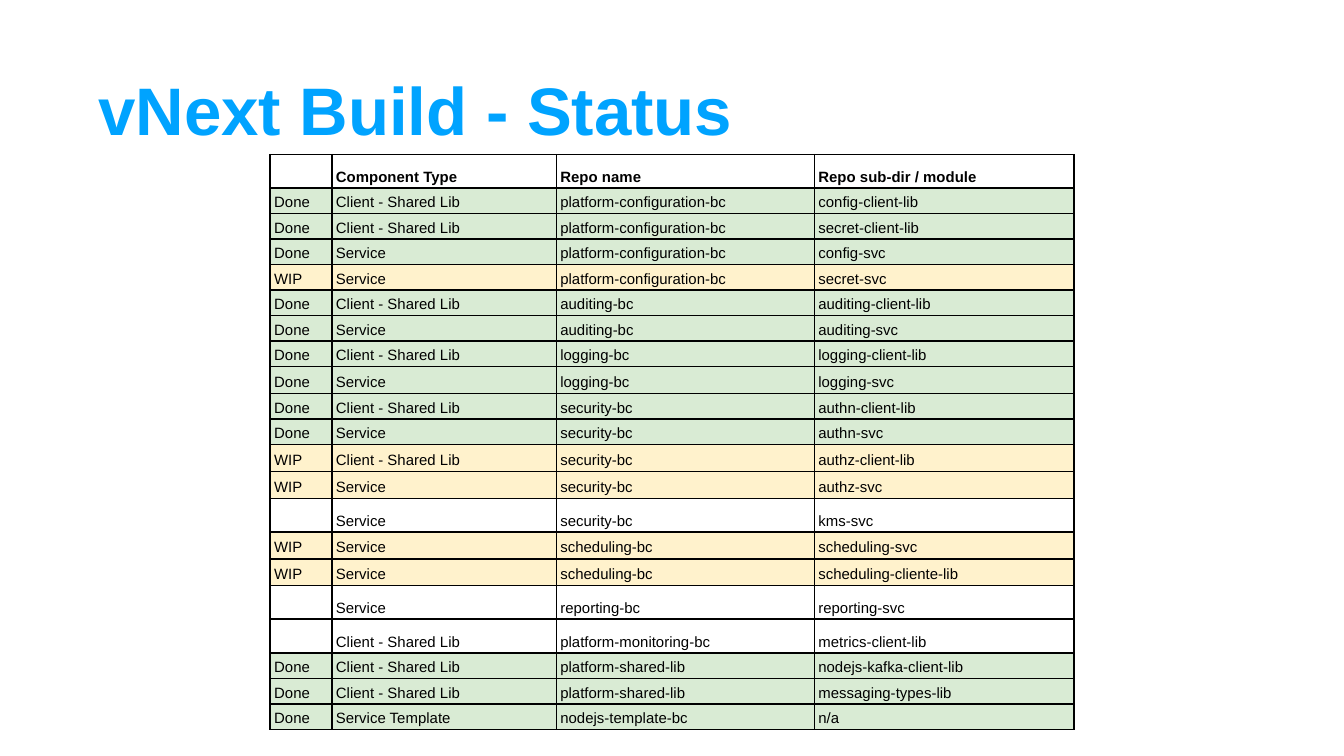
from lxml.etree import SubElement
from pptx import Presentation
from pptx.dml.color import RGBColor
from pptx.enum.text import MSO_ANCHOR, MSO_AUTO_SIZE, PP_ALIGN
from pptx.oxml.ns import qn
from pptx.util import Inches, Pt

COLORS = {"title": "00A3FF", "text": "000000", "border": "000000",
          "Done": "D9EBD4", "WIP": "FFF2CC"}
FONT = "Arial"
COLUMN_WIDTHS = [0.46, 1.67, 1.92, 1.93]
ROW_HEIGHT, TALL_ROW, BLANK_STATUS_ROW = 0.19, 0.2, 0.25
TALL_MODULES = {"logging-svc", "authz-client-lib", "authz-svc",
                "scheduling-svc", "scheduling-cliente-lib"}

LIB, SVC = "Client - Shared Lib", "Service"
ROWS = [
    ("", "Component Type", "Repo name", "Repo sub-dir / module"),
    ("Done", LIB, "platform-configuration-bc", "config-client-lib"),
    ("Done", LIB, "platform-configuration-bc", "secret-client-lib"),
    ("Done", SVC, "platform-configuration-bc", "config-svc"),
    ("WIP", SVC, "platform-configuration-bc", "secret-svc"),
    ("Done", LIB, "auditing-bc", "auditing-client-lib"),
    ("Done", SVC, "auditing-bc", "auditing-svc"),
    ("Done", LIB, "logging-bc", "logging-client-lib"),
    ("Done", SVC, "logging-bc", "logging-svc"),
    ("Done", LIB, "security-bc", "authn-client-lib"),
    ("Done", SVC, "security-bc", "authn-svc"),
    ("WIP", LIB, "security-bc", "authz-client-lib"),
    ("WIP", SVC, "security-bc", "authz-svc"),
    ("", SVC, "security-bc", "kms-svc"),
    ("WIP", SVC, "scheduling-bc", "scheduling-svc"),
    ("WIP", SVC, "scheduling-bc", "scheduling-cliente-lib"),
    ("", SVC, "reporting-bc", "reporting-svc"),
    ("", LIB, "platform-monitoring-bc", "metrics-client-lib"),
    ("Done", LIB, "platform-shared-lib", "nodejs-kafka-client-lib"),
    ("Done", LIB, "platform-shared-lib", "messaging-types-lib"),
    ("Done", "Service Template", "nodejs-template-bc", "n/a"),
]


def rgb(name):
    return RGBColor.from_string(COLORS[name])


def set_font(p, size, color, bold):
    p.font.name = FONT
    p.font.size = Pt(size)
    p.font.bold = bold
    p.font.color.rgb = rgb(color)


def set_margins(box, x, y):
    box.margin_left = box.margin_right = Inches(x)
    box.margin_top = box.margin_bottom = Inches(y)


def add_borders(cell):
    tcPr = cell._tc.get_or_add_tcPr()
    for side in ("a:lnL", "a:lnR", "a:lnT", "a:lnB"):
        ln = SubElement(tcPr, qn(side), w=str(Pt(1)))
        fill = SubElement(ln, qn("a:solidFill"))
        SubElement(fill, qn("a:srgbClr"), val=COLORS["border"])


def fill_title(s, left, top, width, height):
    sp = s.shapes.title
    sp.left, sp.top = Inches(left), Inches(top)
    sp.width, sp.height = Inches(width), Inches(height)
    tf = sp.text_frame
    tf.text = "vNext Build - Status"
    tf.word_wrap = True
    tf.auto_size = MSO_AUTO_SIZE.NONE
    tf.vertical_anchor = MSO_ANCHOR.MIDDLE
    set_margins(tf, 0.04, 0.02)
    p = tf.paragraphs[0]
    p.alignment = PP_ALIGN.LEFT
    p.line_spacing = 0.9
    set_font(p, 36, "title", True)


def fill_cell(cell, text, status, bold):
    add_borders(cell)
    if status:
        cell.fill.solid()
        cell.fill.fore_color.rgb = rgb(status)
    else:
        cell.fill.background()
    cell.vertical_anchor = MSO_ANCHOR.BOTTOM
    set_margins(cell, 0.03, 0.02)
    p = cell.text_frame.paragraphs[0]
    p.line_spacing = 1.15
    set_font(p, 8, "text", bold)
    if text:
        p.add_run().text = text
    else:  # keeps an empty cell from growing its row
        SubElement(p._p, qn("a:endParaRPr"), sz="800")


def row_height(row):
    if not row[0]:
        return BLANK_STATUS_ROW
    return TALL_ROW if row[3] in TALL_MODULES else ROW_HEIGHT


def add_status_table(s, left, top):
    heights = [row_height(row) for row in ROWS]
    frame = s.shapes.add_table(len(ROWS), len(COLUMN_WIDTHS), Inches(left), Inches(top),
                               Inches(sum(COLUMN_WIDTHS)), Inches(sum(heights)))
    table = frame.table
    table.first_row = table.horz_banding = False
    for column, width in zip(table.columns, COLUMN_WIDTHS):
        column.width = Inches(width)
    for i, row in enumerate(ROWS):
        table.rows[i].height = Inches(heights[i])
        for j, text in enumerate(row):
            fill_cell(table.cell(i, j), text, row[0], bold=i == 0)


def main():
    prs = Presentation()
    prs.slide_width = Inches(10)
    prs.slide_height = prs.slide_width * 9 // 16
    s = prs.slides.add_slide(prs.slide_layouts[5])
    fill_title(s, 0.69, 0.3, 8.62, 1.09)
    add_status_table(s, 2.01, 1.15)
    prs.save("out.pptx")


if __name__ == "__main__":
    main()
